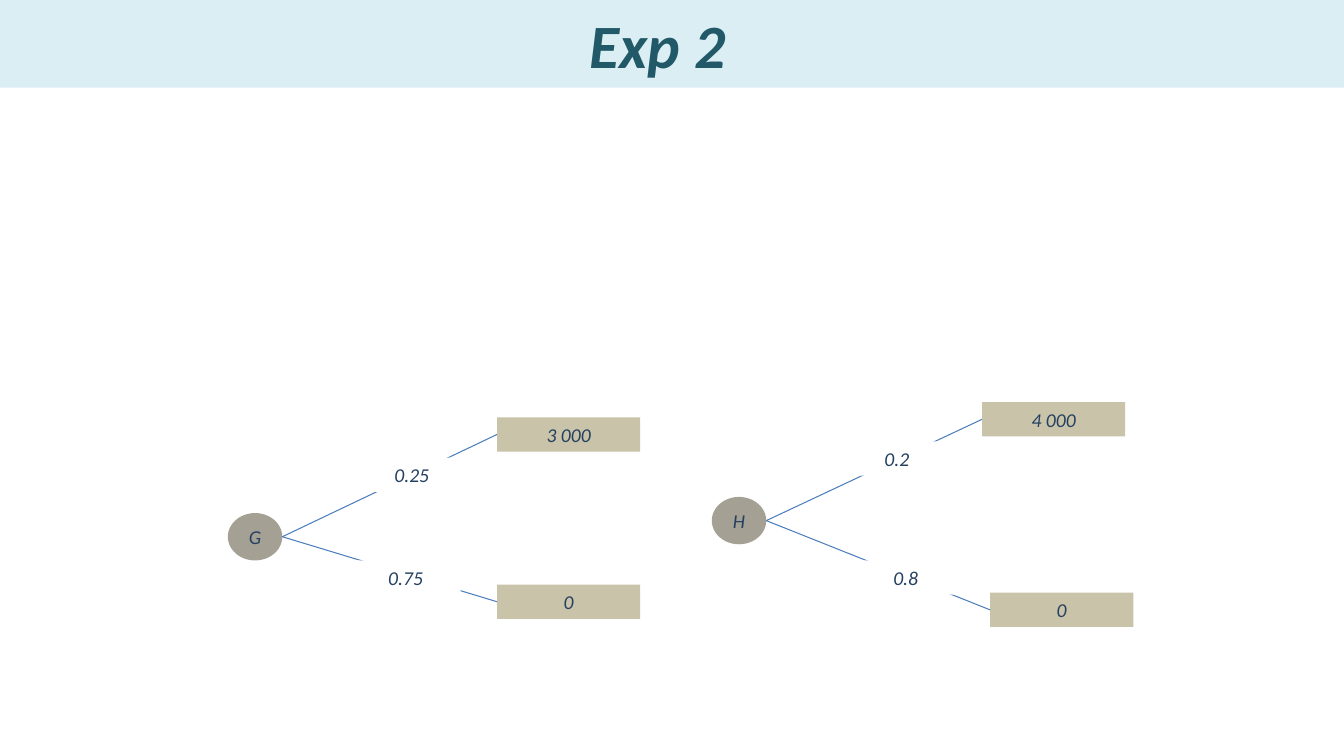
"""Build the Exp 2 slide with two gamble trees."""
from lxml import etree
from pptx import Presentation
from pptx.dml.color import RGBColor
from pptx.enum import shapes, text
from pptx.oxml import ns
from pptx.util import Inches, Pt

HUES = {"band": "DBEEF4", "title": "215968", "ink": "254061", "node": "4A452A",
        "prize": "948A54", "line": "4B7EBC", "white": "FFFFFF"}
TITLE = "Exp 2"
TREES = [
    {"name": "G", "at": (2.26, 5.09), "arms": [
        {"prize": "3 000", "at": (4.93, 4.14), "odds": "0.25", "tag": (3.67, 4.54, 0.83)},
        {"prize": "0", "at": (4.93, 5.8), "odds": "0.75 ", "tag": (3.52, 5.56, 1.05)}]},
    {"name": "H", "at": (7.06, 4.93), "arms": [
        {"prize": "4 000", "at": (9.74, 3.99), "odds": "0.2", "tag": (8.48, 4.38, 0.83)},
        {"prize": "0", "at": (9.82, 5.88), "odds": "0.8 ", "tag": (8.48, 5.56, 1.05)}]},
]
NODE = (0.54, 0.47)
BOX = (1.42, 0.34)
KIND = shapes.MSO_SHAPE

deck = Presentation()
deck.slide_width, deck.slide_height = Inches(13.33), Inches(7.5)
slide = deck.slides.add_slide(deck.slide_layouts[6])


def color(name):
    """Return the named colour."""
    return RGBColor.from_string(HUES[name])


def write(words, at, kind=KIND.RECTANGLE, fill="white", alpha=100, size=14,
          ink="ink", bold=False, right=0.1):
    """Add a filled shape with centred italic text."""
    shape = slide.shapes.add_shape(kind, *map(Inches, at))
    shape.shadow.inherit = False
    shape.fill.solid()
    shape.fill.fore_color.rgb = color(fill)
    shape.line.fill.background()
    if alpha < 100:
        tint = shape.fill._xPr.find(".//" + ns.qn("a:srgbClr"))
        etree.SubElement(tint, ns.qn("a:alpha"), val=str(alpha * 1000))
    frame = shape.text_frame
    frame.word_wrap = True
    frame.vertical_anchor = text.MSO_ANCHOR.MIDDLE
    frame.margin_right = Inches(right)
    para = frame.paragraphs[0]
    para.alignment = text.PP_ALIGN.CENTER
    run = para.add_run()
    run.text = words
    font = run.font
    font.name, font.size, font.bold, font.italic = "Calibri", Pt(size), bold, True
    font.color.rgb = color(ink)


def link(start, end):
    """Draw a thin straight line between two points."""
    line = slide.shapes.add_connector(
        shapes.MSO_CONNECTOR.STRAIGHT, *map(Inches, start + end))
    line.line.color.rgb = color("line")
    line.line.width = Pt(0.75)
    etree.SubElement(line._element.spPr, ns.qn("a:effectLst"))


def draw(tree):
    """Draw one gamble with its branches, odds and prizes."""
    left, top = tree["at"]
    wide, high = NODE
    for arm in tree["arms"]:
        x, y = arm["at"]
        link((left + wide, top + high / 2), (x, y + BOX[1] / 2))
    write(tree["name"], tree["at"] + NODE, kind=KIND.OVAL, fill="node", alpha=50)
    for arm in tree["arms"]:
        write(arm["prize"], arm["at"] + BOX, fill="prize", alpha=50)
        write(arm["odds"], arm["tag"] + BOX[1:])


def main():
    """Draw all parts and save the deck."""
    for tree in TREES:
        draw(tree)
    write(TITLE, (0, 0, 13.33, 0.87), fill="band", size=44, ink="title",
          bold=True, right=0.38)
    deck.save("out.pptx")


if __name__ == "__main__":
    main()
